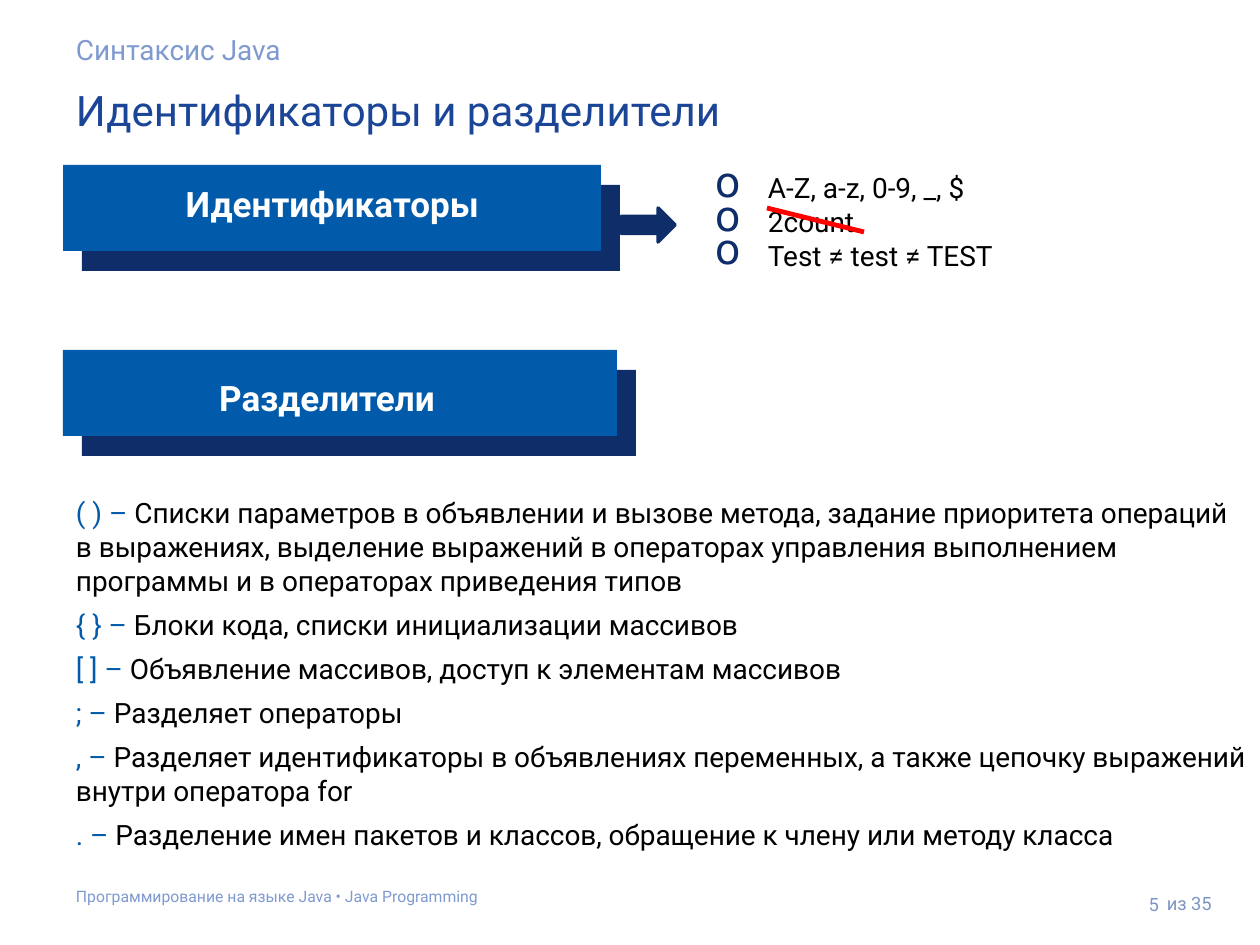
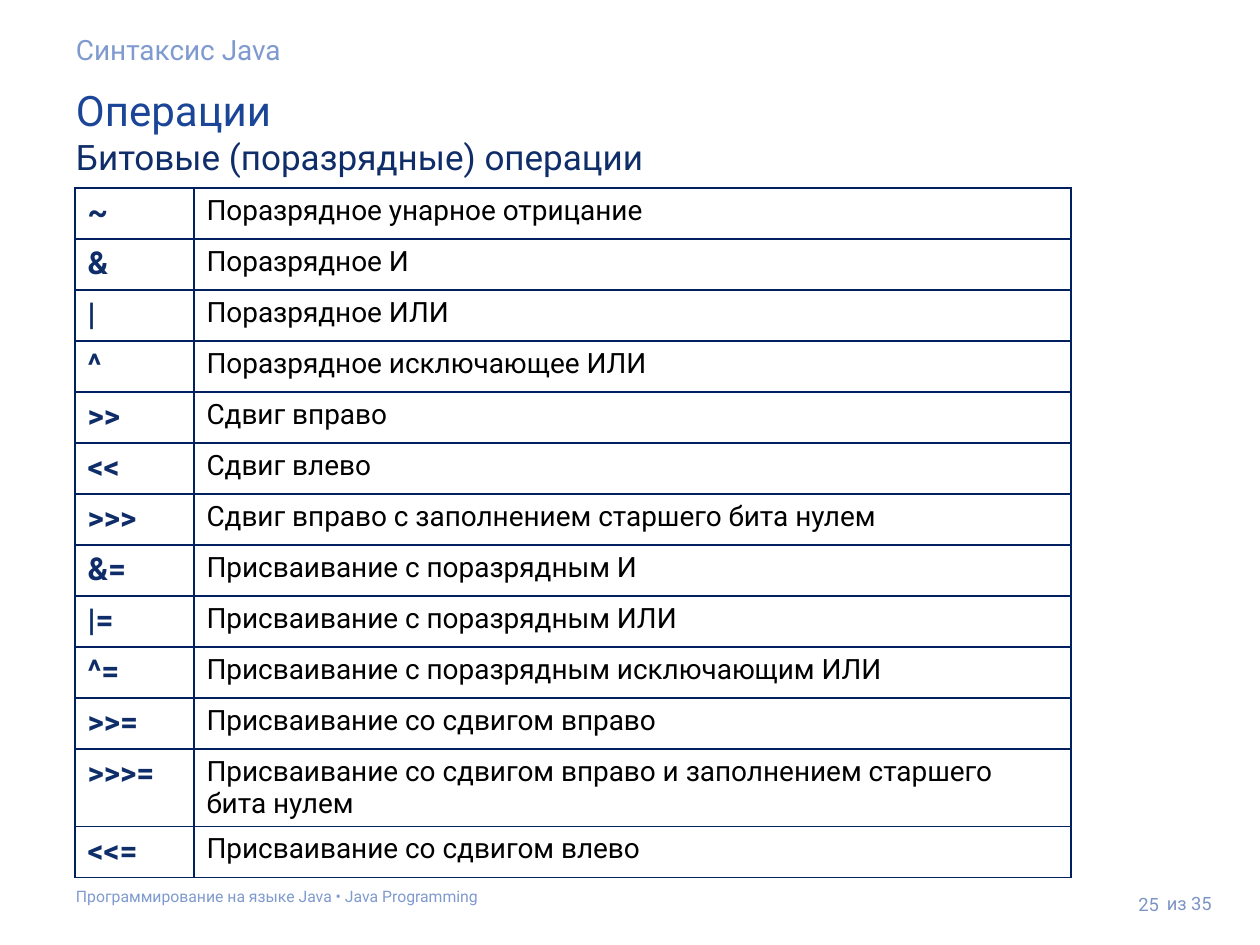
from lxml.etree import SubElement
from pptx import Presentation
from pptx.dml.color import RGBColor
from pptx.enum.shapes import MSO_CONNECTOR as CONNECTOR, MSO_SHAPE as SHAPE
from pptx.enum.text import MSO_ANCHOR as ANCHOR, MSO_AUTO_SIZE as AUTO, PP_ALIGN as ALIGN
from pptx.oxml.ns import qn
from pptx.util import Emu, Pt

C = {
    "title": "1B4597", "muted": "7F9ACF", "page": "7D95C4", "navy": "0F2D69",
    "blue": "015AAA", "border": "002060", "red": "FF0000", "black": "000000", "white": "FFFFFF",
}
RGB = {name: RGBColor.from_string(value) for name, value in C.items()}
FONT = "Roboto"
LEFT = 63


def px(*lengths):
    """Turn px (126 to the inch) into a list of EMU lengths."""
    return [Emu(round(n * 914400 / 126)) for n in lengths]


def write(tf, paragraphs, inset=6, anchor=ANCHOR.TOP, align=ALIGN.LEFT, after=0):
    """Write paragraphs, each a list of (text, size, colour, bold) runs."""
    side, edge = px(13, inset)
    frame = {"word_wrap": True, "auto_size": AUTO.NONE, "vertical_anchor": anchor,
             "margin_left": side, "margin_right": side, "margin_top": edge, "margin_bottom": edge}
    for name, value in frame.items():
        setattr(tf, name, value)
    for i, runs in enumerate(paragraphs):
        p = tf.add_paragraph() if i else tf.paragraphs[0]
        p.alignment = align
        if after:
            p.space_after = Pt(after)
        for text, size, color, bold in runs:
            r = p.add_run()
            r.text = text
            for name, value in {"name": FONT, "size": Pt(size), "bold": bold}.items():
                setattr(r.font, name, value)
            r.font.color.rgb = RGB[color]


prs = Presentation()
prs.slide_width, prs.slide_height = px(1260, 945)

# Shared frame: section, title, footer and page number
titles = [
    (5, [("Идентификаторы и разделители", 24, "title", False)]),
    (25, [("Операции", 24, "title", False)], [("Битовые (поразрядные) операции", 20, "navy", False)]),
]
for number, *title in titles:
    s = prs.slides.add_slide(prs.slide_layouts[5])
    sp = s.shapes.title
    sp.left, sp.top, sp.width, sp.height = px(LEFT, 72, 1158, 118)
    write(sp.text_frame, title, inset=13)
    labels = [
        ((LEFT, 20, 1158, 59), "Синтаксис Java", 16, "muted", {"inset": 13}),
        ((LEFT, 874, 1134, 44), "Программирование на языке Java • Java Programming", 9, "muted",
         {"inset": 13}),
        ((1154, 878, 87, 50), "из 35", 10.5, "page", {"anchor": ANCHOR.MIDDLE}),
        ((1096, 868, 76, 72), str(number), 10.5, "page",
         {"inset": 13, "anchor": ANCHOR.MIDDLE, "align": ALIGN.RIGHT}),
    ]
    for box, text, size, color, layout in labels:
        tf = s.shapes.add_textbox(*px(*box)).text_frame
        write(tf, [[(text, size, color, False)]], **layout)

identifiers, operations = prs.slides

# Identifiers and separators: two headings, each with an offset block behind
s = identifiers
headings = [
    ("Идентификаторы", 165, 538, (92, 176, 481, 55)),
    ("Разделители", 350, 554, (79, 370, 496, 55)),
]
blocks = []
for text, top, width, box in headings:
    blocks += [(SHAPE.RECTANGLE, (LEFT + 19, top + 20, width, 86), "navy"),
               (SHAPE.RECTANGLE, (LEFT, top, width, 86), "blue")]
blocks.append((SHAPE.RIGHT_ARROW, (621, 208, 54, 34), "navy"))
for kind, box, color in blocks:
    sp = s.shapes.add_shape(kind, *px(*box))
    sp.shadow.inherit = False
    sp.fill.solid()
    sp.fill.fore_color.rgb = RGB[color]
    if kind == SHAPE.RIGHT_ARROW:
        sp.line.color.rgb = RGB[color]
        sp.line.width = Pt(2)
    else:
        sp.line.fill.background()
for text, top, width, box in headings:
    tf = s.shapes.add_textbox(*px(*box)).text_frame
    write(tf, [[(text, 20, "white", True)]], align=ALIGN.CENTER)

rules = ["A-Z, a-z, 0-9, _, $", "2count", "Test ≠ test ≠ TEST"]
tf = s.shapes.add_textbox(*px(702, 165, 348, 152)).text_frame
write(tf, [[(rule, 16, "black", False)] for rule in rules])
indent = px(53)[0]
for p in tf.paragraphs:
    pPr = p._p.get_or_add_pPr()
    pPr.set("marL", str(indent))
    pPr.set("indent", str(-indent))
    SubElement(SubElement(pPr, qn("a:buClr")), qn("a:srgbClr"), val=C["navy"])
    SubElement(pPr, qn("a:buSzPct"), val="150000")
    SubElement(pPr, qn("a:buChar"), char="o")

separators = [
    ("( ) –", "Списки параметров в объявлении и вызове метода, задание приоритета операций "
              "в выражениях, выделение выражений в операторах управления выполнением программы "
              "и в операторах приведения типов"),
    ("{ } –", "Блоки кода, списки инициализации массивов"),
    ("[ ] –", "Объявление массивов, доступ к элементам массивов"),
    ("; –", "Разделяет операторы"),
    (", –", "Разделяет идентификаторы в объявлениях переменных, а также цепочку выражений "
            "внутри оператора for"),
    (". –", "Разделение имен пакетов и классов, обращение к члену или методу класса"),
]
tf = s.shapes.add_textbox(*px(LEFT, 490, 1197, 372)).text_frame
write(tf, [[(sign, 16, "blue", False), (" " + use, 16, "black", False)]
           for sign, use in separators], after=6)

strike = s.shapes.add_connector(CONNECTOR.STRAIGHT, *px(767, 208, 864, 232))
strike.line.color.rgb = RGB["red"]
strike.line.width = Pt(2.75)
SubElement(strike._element.spPr, qn("a:effectLst"))

# Bitwise operations
operators = [
    ("~", "Поразрядное унарное отрицание"),
    ("&", "Поразрядное И"),
    ("|", "Поразрядное ИЛИ"),
    ("^", "Поразрядное исключающее ИЛИ"),
    (">>", "Сдвиг вправо"),
    ("<<", "Сдвиг влево"),
    (">>>", "Сдвиг вправо с заполнением старшего бита нулем"),
    ("&=", "Присваивание с поразрядным И"),
    ("|=", "Присваивание с поразрядным ИЛИ"),
    ("^=", "Присваивание с поразрядным исключающим ИЛИ"),
    (">>=", "Присваивание со сдвигом вправо"),
    (">>>=", "Присваивание со сдвигом вправо и заполнением старшего бита нулем"),
    ("<<=", "Присваивание со сдвигом влево"),
]
frame = operations.shapes.add_table(len(operators), 2, *px(75, 188, 996, 51 * len(operators)))
table = frame.table
table.first_row = table.horz_banding = False
for column, width in zip(table.columns, px(119, 877)):
    column.width = width
for row, (operator, meaning) in zip(table.rows, operators):
    row.height = px(51)[0]
    runs = [(operator, 18, "navy", True), (meaning, 16, "black", False)]
    for cell, run in zip(row.cells, runs):
        write(cell.text_frame, [[run]])
        tcPr = cell._tc.get_or_add_tcPr()
        for side in "LRTB":
            ln = SubElement(tcPr, qn(f"a:ln{side}"), w=str(Pt(1)))
            SubElement(SubElement(ln, qn("a:solidFill")), qn("a:srgbClr"), val=C["border"])
        cell.fill.background()

prs.save("out.pptx")
